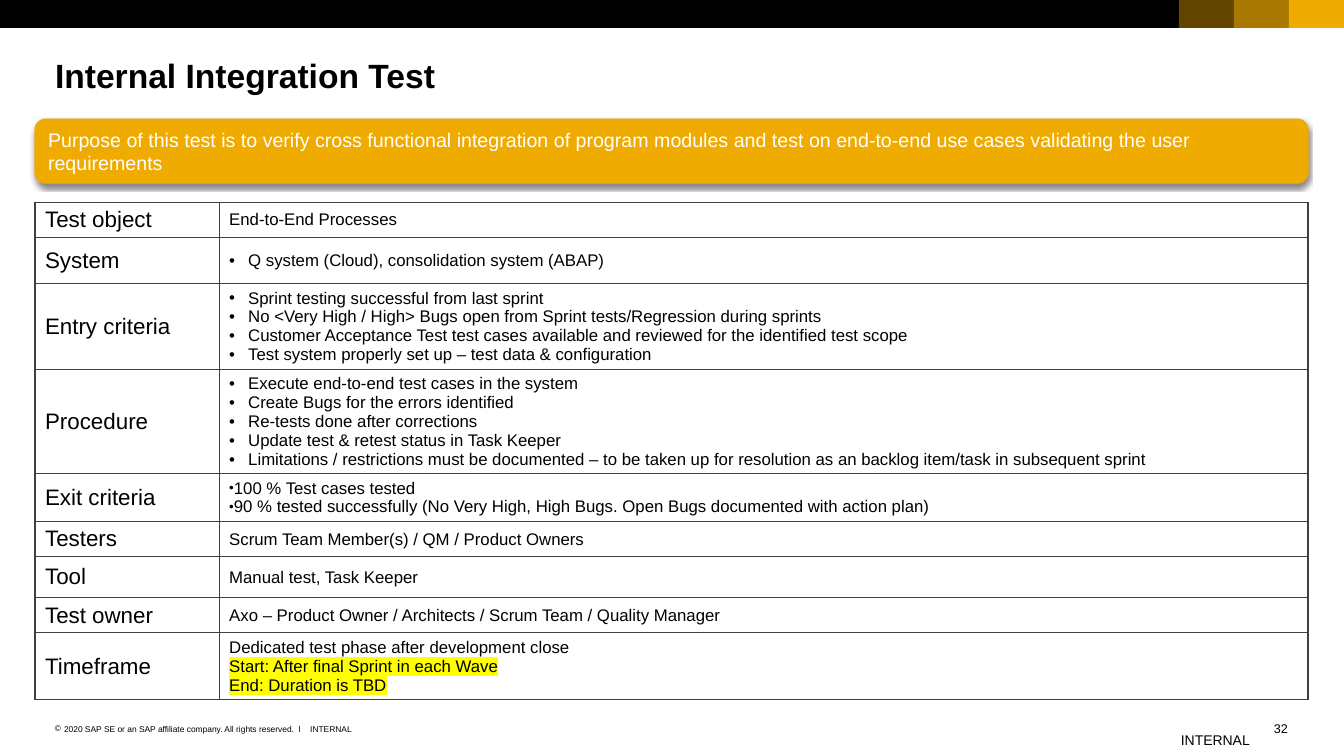
from lxml.etree import SubElement
from pptx import Presentation
from pptx.dml.color import RGBColor
from pptx.enum.shapes import MSO_SHAPE
from pptx.enum.text import MSO_ANCHOR, MSO_AUTO_SIZE, PP_ALIGN
from pptx.oxml import parse_xml
from pptx.oxml.ns import nsdecls, qn
from pptx.util import Pt

PX = 9080
PAGE_WIDTH, PAGE_HEIGHT = 1343, 755
COLORS = {"black": "000000", "white": "FFFFFF", "gold": "F0AB00",
          "border": "404040", "highlight": "FFFF00"}

# label, row height, list style, lines
ROWS = [
    ("Test object", 35, "plain", ["End-to-End Processes"]),
    ("System", 46, "bullet", ["Q system (Cloud), consolidation system (ABAP)"]),
    ("Entry criteria", 86, "bullet", [
        "Sprint testing successful from last sprint",
        "No <Very High / High> Bugs open from Sprint tests/Regression during sprints",
        "Customer Acceptance Test test cases available and reviewed for the identified test scope",
        "Test system properly set up – test data & configuration"]),
    ("Procedure", 104, "bullet", [
        "Execute end-to-end test cases in the system",
        "Create Bugs for the errors identified",
        "Re-tests done after corrections",
        "Update test & retest status in Task Keeper",
        "Limitations / restrictions must be documented – to be taken up for resolution "
        "as an backlog item/task in subsequent sprint"]),
    ("Exit criteria", 48, "tight", [
        "100 % Test cases tested",
        "90 % tested successfully (No Very High, High Bugs. "
        "Open Bugs documented with action plan)"]),
    ("Testers", 35, "plain", ["Scrum Team Member(s) / QM / Product Owners"]),
    ("Tool", 41, "plain", ["Manual test, Task Keeper"]),
    ("Test owner", 35, "plain",
     ["Axo – Product Owner / Architects / Scrum Team / Quality Manager"]),
    ("Timeframe", 67, "plain", [
        "Dedicated test phase after development close",
        "Start: After final Sprint in each Wave",
        "End: Duration is TBD"]),
]
HIGHLIGHTED = ("Start:", "End:")


def color(name):
    return RGBColor.from_string(COLORS[name])


def emu(box):
    return [length * PX for length in box]


def format_text(frame, size, color_name="black", bold=False):
    for para in frame.paragraphs:
        for span in para.runs:
            span.font.name = "Arial"
            span.font.size = Pt(size)
            span.font.bold = bold
            span.font.color.rgb = color(color_name)


def add_bullet(para, margin, indent, symbol="•", percent=100):
    properties = para._p.get_or_add_pPr()
    properties.set("marL", str(margin * PX))
    properties.set("indent", str(indent * PX))
    SubElement(properties, qn("a:buSzPct"), val=str(percent * 1000))
    SubElement(properties, qn("a:buFont"), typeface="Arial")
    SubElement(properties, qn("a:buChar"), char=symbol)


def highlight(span):
    """Mark a run whose colour is already set."""
    span._r.rPr.find(qn("a:solidFill")).addnext(parse_xml(
        f'<a:highlight {nsdecls("a")}><a:srgbClr val="{COLORS["highlight"]}"/></a:highlight>'))


def add_block(page, shape_type, box, fill):
    block = page.shapes.add_shape(shape_type, *emu(box))
    block.shadow.inherit = False
    block.fill.solid()
    block.fill.fore_color.rgb = color(fill)
    block.line.fill.background()
    return block


def add_top_bar(page, box):
    left, top, width, height = box
    add_block(page, MSO_SHAPE.RECTANGLE, box, "black")
    step = 55
    for place, opacity in enumerate((100, 70, 40), start=1):
        square = add_block(page, MSO_SHAPE.RECTANGLE,
                           (left + width - place * step, top, step, height), "gold")
        tone = square.fill._xPr.find(qn("a:solidFill"))[0]
        SubElement(tone, qn("a:alpha"), val=str(opacity * 1000))


def add_title(page, box):
    title = page.shapes.title
    title.left, title.top, title.width, title.height = emu(box)
    frame = title.text_frame
    frame.text = "Internal Integration Test"
    frame.margin_left = frame.margin_right = frame.margin_top = frame.margin_bottom = 0
    frame.auto_size = MSO_AUTO_SIZE.NONE
    frame.vertical_anchor = MSO_ANCHOR.TOP
    frame.paragraphs[0].alignment = PP_ALIGN.LEFT
    format_text(frame, 24, bold=True)


def add_purpose(page, box):
    banner = add_block(page, MSO_SHAPE.ROUNDED_RECTANGLE, box, "gold")
    banner.line.color.rgb = color("gold")
    banner.line.width = Pt(0.79)
    banner._element.spPr.find(qn("a:effectLst")).append(parse_xml(
        f'<a:outerShdw {nsdecls("a")} blurRad="{Pt(3)}" dist="{Pt(2.4)}" dir="5400000" '
        f'rotWithShape="0"><a:srgbClr val="{COLORS["black"]}"><a:alpha val="45000"/>'
        '</a:srgbClr></a:outerShdw>'))
    frame = banner.text_frame
    frame.text = ("Purpose of this test is to verify cross functional integration of program "
                  "modules and test on end-to-end use cases validating the user requirements")
    frame.word_wrap = True
    frame.vertical_anchor = MSO_ANCHOR.MIDDLE
    frame.paragraphs[0].alignment = PP_ALIGN.LEFT
    format_text(frame, 14, "white")


def fill_cell(cell, lines, size, style="plain"):
    cell.vertical_anchor = MSO_ANCHOR.MIDDLE
    frame = cell.text_frame
    frame.text = "\n".join(lines)
    for para in frame.paragraphs:
        if style == "bullet":
            add_bullet(para, 19, -19)
        elif style == "tight":
            add_bullet(para, 0, -19, percent=80)
    format_text(frame, size)
    for para in frame.paragraphs:
        if para.text.startswith(HIGHLIGHTED):
            highlight(para.runs[0])
    for side in ("lnL", "lnR", "lnT", "lnB"):
        cell._tc.get_or_add_tcPr().append(parse_xml(
            f'<a:{side} {nsdecls("a")} w="{Pt(1)}"><a:solidFill>'
            f'<a:srgbClr val="{COLORS["border"]}"/></a:solidFill></a:{side}>'))
    cell.fill.background()


def add_test_table(page, box):
    table = page.shapes.add_table(len(ROWS), 2, *emu(box)).table
    table.first_row = table.horz_banding = False
    label_width = 184
    table.columns[0].width = label_width * PX
    table.columns[1].width = (box[2] - label_width) * PX
    for index, (label, height, style, lines) in enumerate(ROWS):
        table.rows[index].height = height * PX
        fill_cell(table.cell(index, 0), [label], 16)
        fill_cell(table.cell(index, 1), lines, 12, style)


def add_note(page, box, text, size, align=PP_ALIGN.LEFT, symbol=None):
    frame = page.shapes.add_textbox(*emu(box)).text_frame
    frame.margin_left = frame.margin_right = frame.margin_top = frame.margin_bottom = 0
    frame.word_wrap = symbol is not None
    frame.text = text
    para = frame.paragraphs[0]
    para.alignment = align
    if symbol:
        add_bullet(para, 9, -9, symbol)
    format_text(frame, size)


def add_footer(page, box):
    left, top, width, height = box
    add_note(page, (left, top + 3, 250, 10),
             "2020 SAP SE or an SAP affiliate company. All rights reserved.  ǀ", 6, symbol="©")
    add_note(page, (left + 255, top + 3, 42, 10), "INTERNAL", 6)
    add_note(page, (left + width - 107, top + 11, 69, 17), "INTERNAL", 10)
    add_note(page, (left + width - 15, top, 15, 15), "32", 9, PP_ALIGN.RIGHT)


def main():
    deck = Presentation()
    deck.slide_width, deck.slide_height = PAGE_WIDTH * PX, PAGE_HEIGHT * PX
    page = deck.slides.add_slide(deck.slide_layouts[5])
    add_top_bar(page, (0, 0, PAGE_WIDTH, 28))
    add_title(page, (55, 55, 1232, 40))
    add_purpose(page, (35, 119, 1272, 64))
    add_test_table(page, (35, 202, 1272, sum(row[1] for row in ROWS)))
    add_footer(page, (55, 720, 1232, 28))
    deck.save("out.pptx")


if __name__ == "__main__":
    main()
